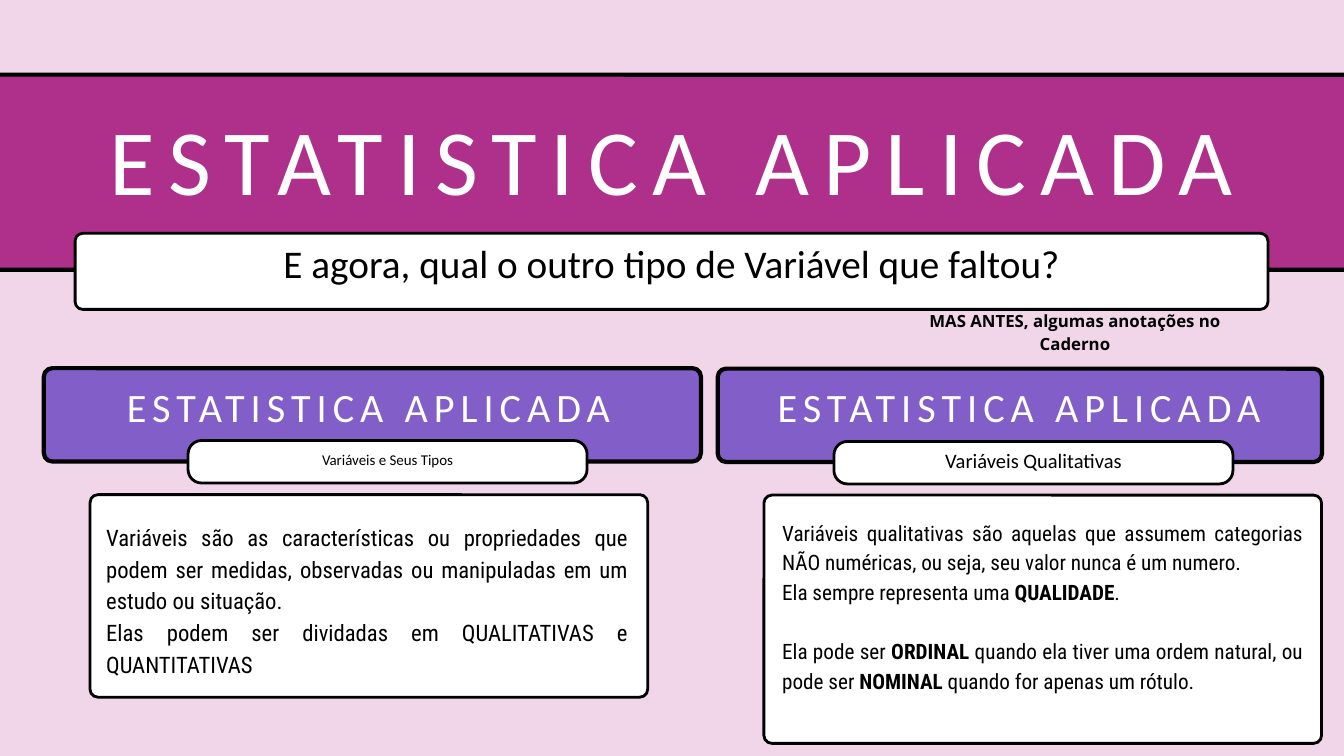
import pptx
import pptx.util
import pptx.dml.color
import pptx.enum.shapes
import pptx.enum.text
import pptx.oxml.ns
from lxml import etree

Pt = pptx.util.Pt
RGBColor = pptx.dml.color.RGBColor
ALIGN = pptx.enum.text.PP_ALIGN
ANCHOR = pptx.enum.text.MSO_ANCHOR

PINK = RGBColor(0xF1, 0xD5, 0xE9)
MAGENTA = RGBColor(0xAF, 0x30, 0x8B)
PURPLE = RGBColor(0x82, 0x5F, 0xC8)
WHITE = RGBColor(255, 255, 255)
BLACK = RGBColor(0, 0, 0)

# Content
TITLE = "ESTATISTICA APLICADA"
QUESTION = "E agora, qual o outro tipo de Variável que faltou?"
REMINDER = "MAS ANTES, algumas anotações no Caderno"

# Each paragraph: space before in points, then runs of (text, bold)
TOPICS = [
    {
        "label": "Variáveis e Seus Tipos", "label_size": 16, "label_leading": 22.4,
        "body_size": 24.3, "body_leading": 34.1,
        "paragraphs": [
            (0, [("Variáveis são as características ou propriedades que podem ser "
                  "medidas, observadas ou manipuladas em um estudo ou situação.", False)]),
            (0, [("Elas podem ser dividadas em QUALITATIVAS e QUANTITATIVAS", False)]),
        ],
        "header": (47, 394.5, 704, 100), "pill": (201.5, 472, 427.5, 45.5),
        "panel": (96.5, 530, 597.5, 217), "heading": (39.5, 401, 711.5, 58),
        "label_box": (201.5, 464.5, 427.5, 53), "body": (113.8, 556, 558.7, 170),
    },
    {
        "label": "Variáveis Qualitativas", "label_size": 22, "label_leading": 30.8,
        "body_size": 22.7, "body_leading": 31.8,
        "paragraphs": [
            (0, [("Variáveis qualitativas são aquelas que assumem categorias NÃO "
                  "numéricas, ou seja, seu valor nunca é um numero.", False)]),
            (0, [("Ela sempre representa uma ", False), ("QUALIDADE", True), (".", False)]),
            (31.8, [("Ela pode ser ", False), ("ORDINAL ", True),
                    ("quando ela tiver uma ordem natural, ou pode ser ", False),
                    ("NOMINAL", True), (" quando for apenas um rótulo.", False)]),
        ],
        "header": (769, 395, 647.5, 100), "pill": (893.5, 473, 427.5, 45.5),
        "panel": (818.5, 530.5, 597.5, 266), "heading": (736.5, 401.5, 711.5, 58),
        "label_box": (893.5, 463, 427.5, 55.5), "body": (838, 552.5, 558, 190),
    },
]

deck = pptx.Presentation()
deck.slide_width, deck.slide_height = Pt(1440), Pt(810)
slide = deck.slides.add_slide(deck.slide_layouts[3])
slide.background.fill.solid()
slide.background.fill.fore_color.rgb = PINK


def add_card(box, fill, line_width, radius):
    card = slide.shapes.add_shape(
        pptx.enum.shapes.MSO_SHAPE.ROUNDED_RECTANGLE, *map(Pt, box))
    card.adjustments[0] = radius / min(box[2:])
    card.shadow.inherit = False
    card.fill.solid()
    card.fill.fore_color.rgb = fill
    card.line.color.rgb = BLACK
    card.line.width = Pt(line_width)


def write(holder, box, paragraphs, size, leading, font, color=BLACK,
          align=ALIGN.CENTER, anchor=ANCHOR.TOP, tracking=0):
    holder.left, holder.top, holder.width, holder.height = map(Pt, box)
    frame = holder.text_frame
    frame.word_wrap = True
    frame.auto_size = pptx.enum.text.MSO_AUTO_SIZE.NONE
    frame.vertical_anchor = anchor
    frame.margin_left = frame.margin_right = frame.margin_top = frame.margin_bottom = 0
    for index, (gap, runs) in enumerate(paragraphs):
        paragraph = frame.add_paragraph() if index else frame.paragraphs[0]
        properties = paragraph._p.get_or_add_pPr()
        properties.set("marL", "0")
        properties.set("indent", "0")
        etree.SubElement(properties, pptx.oxml.ns.qn("a:buNone"))
        paragraph.alignment = align
        paragraph.line_spacing = Pt(leading)
        paragraph.space_before = Pt(gap)
        for text, bold in runs:
            run = paragraph.add_run()
            run.text = text
            run.font.name = font
            run.font.size = Pt(size)
            run.font.bold = bold
            run.font.color.rgb = color
            if tracking:
                run._r.get_or_add_rPr().set("spc", str(round(tracking * 100)))


def add_text(box, text, size, leading, font="Calibri", bold=False, **style):
    holder = slide.shapes.add_textbox(*map(Pt, box))
    write(holder, box, [(0, [(text, bold)])], size, leading, font, **style)


def bring_forward(holder):
    slide.shapes._spTree.append(holder._element)


title, *bodies = list(slide.placeholders)

# Title band and question
add_card((-103, 80, 1640, 209), MAGENTA, 4.5, 6)
bring_forward(title)
write(title, (62.5, 90, 1315.5, 136), [(0, [(TITLE, False)])], 100, 140,
      "Calibri", color=WHITE, tracking=15.2)
add_card((80.5, 250, 1278, 81.5), WHITE, 3, 8)
add_text((80.5, 222.5, 1278, 109), QUESTION, 42, 58.8, anchor=ANCHOR.MIDDLE)
add_text((956, 329, 391.5, 50), REMINDER, 18, 25.1, font="Open Sans", bold=True)

# Topic columns
for topic, body in zip(TOPICS, bodies):
    add_card(topic["panel"], WHITE, 3, 8.5)
    add_card(topic["header"], PURPLE, 4.5, 9)
    add_card(topic["pill"], WHITE, 3, 14.4)
    add_text(topic["label_box"], topic["label"], topic["label_size"],
             topic["label_leading"], anchor=ANCHOR.MIDDLE)
    add_text(topic["heading"], TITLE, 43.1, 60.3, color=WHITE, tracking=6.5)
    bring_forward(body)
    write(body, topic["body"], topic["paragraphs"], topic["body_size"],
          topic["body_leading"], "Roboto Condensed", align=ALIGN.JUSTIFY)

deck.save("out.pptx")
